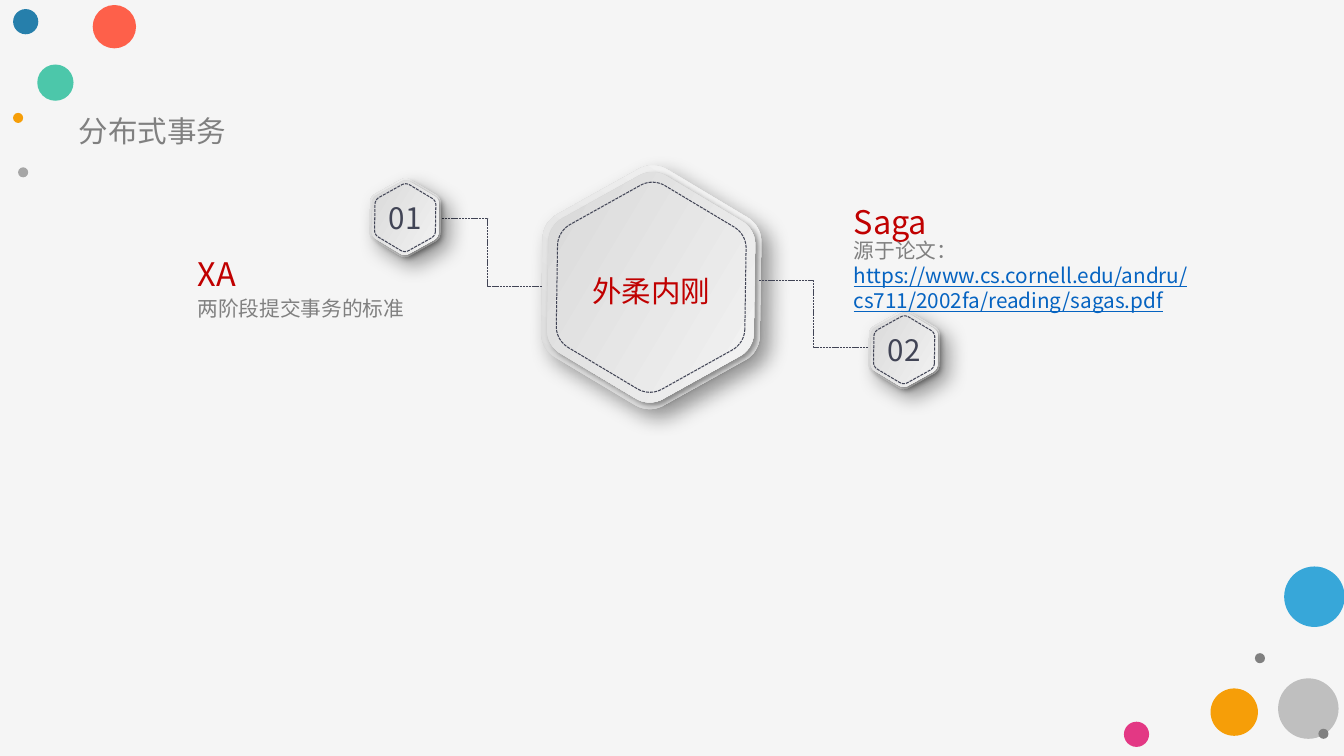
from math import cos, pi, radians, sin, sqrt

from lxml.etree import SubElement
from pptx import Presentation
from pptx.dml.color import RGBColor
from pptx.enum.dml import MSO_LINE
from pptx.enum.shapes import MSO_CONNECTOR as Link, MSO_SHAPE as Preset
from pptx.enum.text import MSO_ANCHOR as Anchor, MSO_AUTO_SIZE as AutoSize, PP_ALIGN as Align
from pptx.oxml.ns import qn
from pptx.util import Emu, Inches, Pt

FONT = "Noto Sans CJK SC"
GREY, RED, INK, LINK = "808080", "C00000", "414455", "0563C1"
WIDE, ROOMY, TIGHT = (0.11, 0.05), (0.08, 0.04), (0, 0)
TILT = 30.9
DOTS = [
    (0.37, 0.64, 0.36, "4CC7AA"), (12.68, 6.73, 0.6, "BFBFBF"),
    (12.74, 5.62, 0.6, "37A7D9"), (0.92, 0.05, 0.43, "FE604A"),
    (12.01, 6.83, 0.47, "F69E08"), (11.15, 7.16, 0.25, "E33884"),
    (0.13, 1.12, 0.1, "F69E08"), (0.18, 1.66, 0.1, "A6A6A6"),
    (0.13, 0.09, 0.25, "267FAB"), (13.08, 7.23, 0.1, GREY),
    (12.45, 6.48, 0.1, GREY),
]


def color(value):
    """Turn a hex string into a colour."""
    return RGBColor.from_string(value)


def apply(target, formats):
    """Set each attribute named in a dict of format values."""
    for name, value in formats.items():
        setattr(target, name, value)


def write(holder, box, lines, size, insets=WIDE, align=Align.LEFT, wrap=True, spacing=None):
    """Place a text holder in its box and fill it with (text, colour) lines."""
    apply(holder, dict(zip(("left", "top", "width", "height"), map(Inches, box))))
    side, edge = map(Inches, insets)
    frame = holder.text_frame
    apply(frame, {
        "margin_left": side, "margin_right": side, "margin_top": edge, "margin_bottom": edge,
        "word_wrap": wrap, "auto_size": AutoSize.SHAPE_TO_FIT_TEXT, "vertical_anchor": Anchor.TOP,
    })
    for index, (text, tint) in enumerate(lines):
        paragraph = frame.add_paragraph() if index else frame.paragraphs[0]
        apply(paragraph, {"alignment": align, "line_spacing": spacing})
        run = paragraph.add_run()
        run.text = text
        apply(run.font, {"size": Pt(size), "name": FONT, "underline": tint == LINK or None})
        run.font.color.rgb = color(tint)
        SubElement(run.font._element, qn("a:ea"), typeface=FONT)


def add_text(slide, *args, **formats):
    """Add a text box with the given box, lines and format."""
    write(slide.shapes.add_textbox(0, 0, 0, 0), *args, **formats)


def dash(line, width):
    """Give a line the thin dashed ink style."""
    line.color.rgb = color(INK)
    apply(line, {"width": Pt(width), "dash_style": MSO_LINE.SQUARE_DOT})


def cast_shadow(shape, blur, distance):
    """Add a soft black shadow to the lower right."""
    effects = shape._element.spPr.find(qn("a:effectLst"))
    shadow = SubElement(effects, qn("a:outerShdw"), blurRad=str(Pt(blur)), dist=str(Pt(distance)),
                        dir="2700000", algn="tl", rotWithShape="0")
    black = SubElement(shadow, qn("a:srgbClr"), val="000000")
    SubElement(black, qn("a:alpha"), val="40000")


def hexagon(slide, center_x, center_y, height):
    """Draw a tilted hexagon with rounded corners around a centre."""
    reach = height / sqrt(3)
    radius = 0.13 * reach * sqrt(3)
    hub = reach - radius / sin(pi / 3)
    points = []
    for corner in range(6):
        for step in range(-30, 31, 6):
            turn, angle = radians(60 * corner), radians(60 * corner + step)
            points.append((Inches(center_x + hub * cos(turn) + radius * cos(angle)),
                           Inches(center_y + hub * sin(turn) + radius * sin(angle))))
    builder = slide.shapes.build_freeform(*points[0])
    builder.add_line_segments(points[1:], close=True)
    shape = builder.convert_to_shape()
    shape.rotation = TILT
    shape.shadow.inherit = False
    return shape


def badge(slide, center_x, center_y, height):
    """Stack two raised hexagons and a dashed one."""
    for share, angle, blur, distance in ((1, 90, 15, 9), (0.945, 0, 4, 3)):
        plate = hexagon(slide, center_x, center_y, share * height)
        plate.fill.gradient()
        plate.fill.gradient_angle = angle
        for stop, tint, place in zip(plate.fill.gradient_stops, ("D3D3D3", "F9F9F9"), (0, 1)):
            stop.color.rgb = color(tint)
            stop.position = place
        plate.line.fill.background()
        cast_shadow(plate, blur, distance)
    stitch = hexagon(slide, center_x, center_y, 0.862 * height)
    stitch.fill.background()
    dash(stitch.line, 0.75)


def numbered_badge(slide, center_x, center_y, number):
    """Draw a small badge with its number."""
    badge(slide, center_x, center_y, 0.7)
    add_text(slide, (center_x - 0.33, center_y - 0.18, 0.66, 0.35), [(number, INK)], 21.1,
             insets=TIGHT, align=Align.CENTER)


def elbow(slide, left, top):
    """Join a badge to the centre with a stepped dashed line."""
    ends = map(Inches, (left, top, left + 1.08, top + 0.67))
    link = slide.shapes.add_connector(Link.ELBOW, *ends)
    dash(link.line, 0.5)
    SubElement(link._element.spPr, qn("a:effectLst"))


def topic(slide, left, top, heading, details, detail_box, spacing=None):
    """Write a red heading with its details below."""
    drop, width, height = detail_box
    add_text(slide, (left, top, 1.79, 0.5), [(heading, RED)], 23.2)
    add_text(slide, (left, top + drop, width, height), details, 14.8, spacing=spacing)


def decorate(slide):
    """Scatter the coloured dots over the background."""
    slide.background.fill.solid()
    slide.background.fill.fore_color.rgb = color("F5F5F5")
    for left, top, size, tint in DOTS:
        dot = slide.shapes.add_shape(Preset.OVAL, *map(Inches, (left, top, size, size)))
        dot.shadow.inherit = False
        dot.fill.solid()
        dot.fill.fore_color.rgb = color(tint)
        dot.line.fill.background()


def main():
    """Build the slide and save it."""
    deck = Presentation()
    apply(deck, {"slide_width": Emu(12192000), "slide_height": Inches(7.5)})
    slide = deck.slides.add_slide(deck.slide_layouts[5])
    decorate(slide)
    write(slide.shapes.title, (0.7, 1.08, 1.64, 0.43), [("分布式事务", GREY)], 21.1,
          insets=ROOMY, wrap=False)
    badge(slide, 6.46, 2.85, 2.17)
    add_text(slide, (5.54, 2.66, 1.84, 0.46), [("外柔内刚", RED)], 21.1, align=Align.CENTER)
    elbow(slide, 4.3, 2.17)
    numbered_badge(slide, 4.02, 2.16, "01")
    topic(slide, 1.85, 2.47, "XA", [("两阶段提交事务的标准", GREY)], (0.37, 3.27, 0.38), 1.2)
    elbow(slide, 7.53, 2.78)
    numbered_badge(slide, 8.97, 3.47, "02")
    paper = "https://www.cs.cornell.edu/andru/cs711/2002fa/reading/sagas.pdf"
    topic(slide, 8.36, 1.96, "Saga", [("源于论文：", GREY), (paper, LINK)], (0.35, 4.72, 0.85))
    deck.save("out.pptx")


if __name__ == "__main__":
    main()
